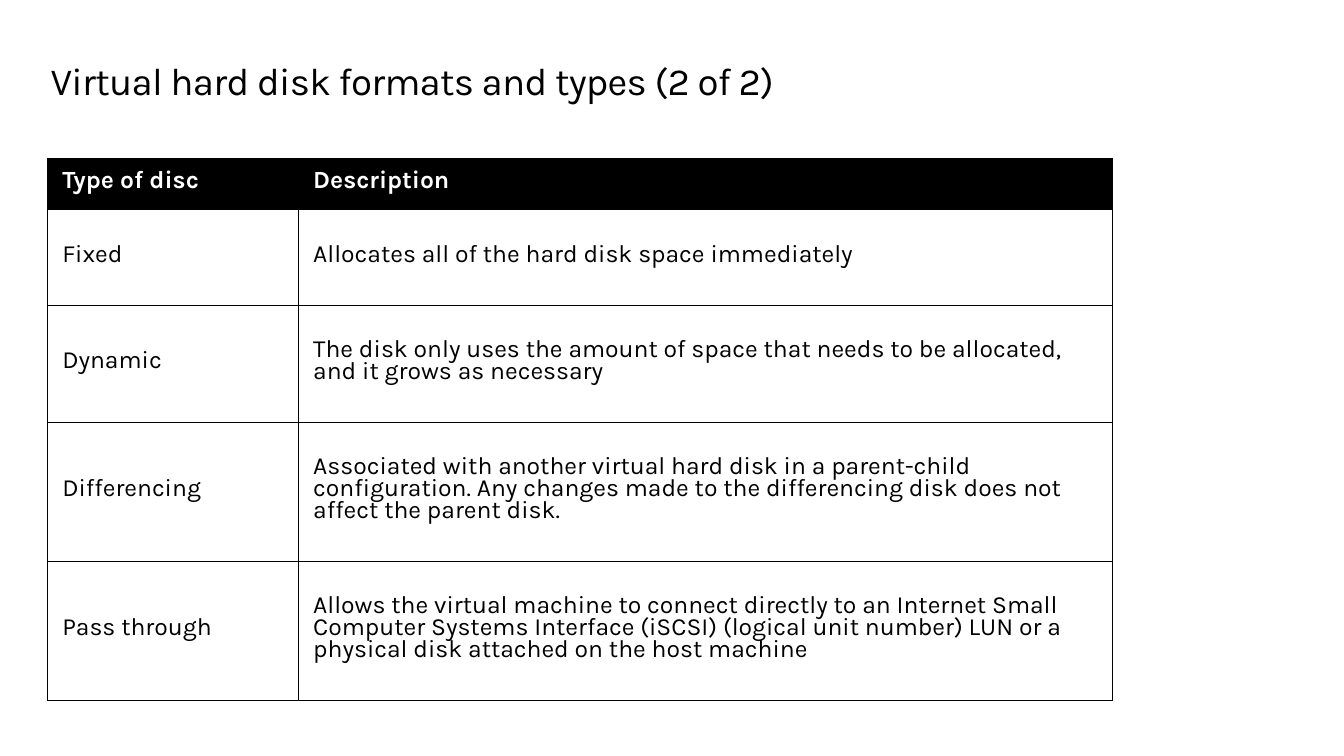
"""Build the slide on virtual hard disk types."""
from lxml import etree
from pptx import Presentation
from pptx import util as u
from pptx.dml.color import RGBColor
from pptx.enum import text
from pptx.oxml.ns import qn

TITLE = "Virtual hard disk formats and types (2 of 2)"
ROWS = [
    ("Type of disc", "Description"),
    ("Fixed", "Allocates all of the hard disk space immediately"),
    ("Dynamic", "The disk only uses the amount of space that needs to be allocated, "
                "and it grows as necessary"),
    ("Differencing", "Associated with another virtual hard disk in a parent-child "
                     "configuration. Any changes made to the differencing disk does not "
                     "affect the parent disk."),
    ("Pass through", "Allows the virtual machine to connect directly to an Internet Small "
                     "Computer Systems Interface (iSCSI) (logical unit number) LUN or a "
                     "physical disk attached on the host machine"),
]
COL_WIDTHS = (6.45, 20.93)
ROW_HEIGHTS = (1.32, 2.46, 3.0, 3.58, 3.58)
COLORS = {"ink": "000000", "paper": "FFFFFF"}
FONT = "Karla"


def add_run(p, content, size, color, bold=False):
    r = p.add_run()
    r.text = content
    r.font.name = FONT
    r.font.size = u.Pt(size)
    r.font.bold = bold
    r.font.color.rgb = RGBColor.from_string(COLORS[color])
    return r


def add_borders(cell):
    props = cell._tc.get_or_add_tcPr()
    for side in ("lnL", "lnR", "lnT", "lnB"):
        line = etree.SubElement(props, qn(f"a:{side}"), w=str(u.Pt(0.75)))
        fill = etree.SubElement(line, qn("a:solidFill"))
        etree.SubElement(fill, qn("a:srgbClr"), val=COLORS["ink"])


def add_title(s):
    sp = s.shapes.title
    sp.left, sp.top, sp.width, sp.height = map(u.Cm, (1.3, 1.57, 32.03, 1.14))
    tf = sp.text_frame
    tf.margin_left = tf.margin_top = tf.margin_bottom = 0
    tf.word_wrap = True
    tf.auto_size = text.MSO_AUTO_SIZE.NONE
    tf.vertical_anchor = text.MSO_ANCHOR.MIDDLE
    p = tf.paragraphs[0]
    p.alignment = text.PP_ALIGN.LEFT
    p.line_spacing = 0.9
    r = add_run(p, TITLE, 28, "ink")
    r.font._element.set("spc", "-50")


def add_disk_table(s):
    table = s.shapes.add_table(
        len(ROWS), len(COL_WIDTHS), u.Cm(1.22), u.Cm(4.06),
        u.Cm(sum(COL_WIDTHS)), u.Cm(sum(ROW_HEIGHTS))).table
    table.horz_banding = False
    for column, width in zip(table.columns, COL_WIDTHS):
        column.width = u.Cm(width)
    for i, (row, height, words) in enumerate(zip(table.rows, ROW_HEIGHTS, ROWS)):
        row.height = u.Cm(height)
        header = i == 0
        for cell, content in zip(row.cells, words):
            add_borders(cell)
            cell.fill.solid()
            cell.fill.fore_color.rgb = RGBColor.from_string(COLORS["ink" if header else "paper"])
            cell.margin_left = cell.margin_right = u.Cm(0.38)
            cell.margin_top = cell.margin_bottom = u.Cm(0.38)
            cell.vertical_anchor = text.MSO_ANCHOR.MIDDLE
            p = cell.text_frame.paragraphs[0]
            p.line_spacing = u.Pt(16)
            add_run(p, content, 18, "paper" if header else "ink", header)


def main():
    prs = Presentation()
    prs.slide_width, prs.slide_height = u.Cm(34.54), u.Cm(19.43)
    s = prs.slides.add_slide(prs.slide_layouts[5])
    add_title(s)
    add_disk_table(s)
    prs.save("out.pptx")


if __name__ == "__main__":
    main()
